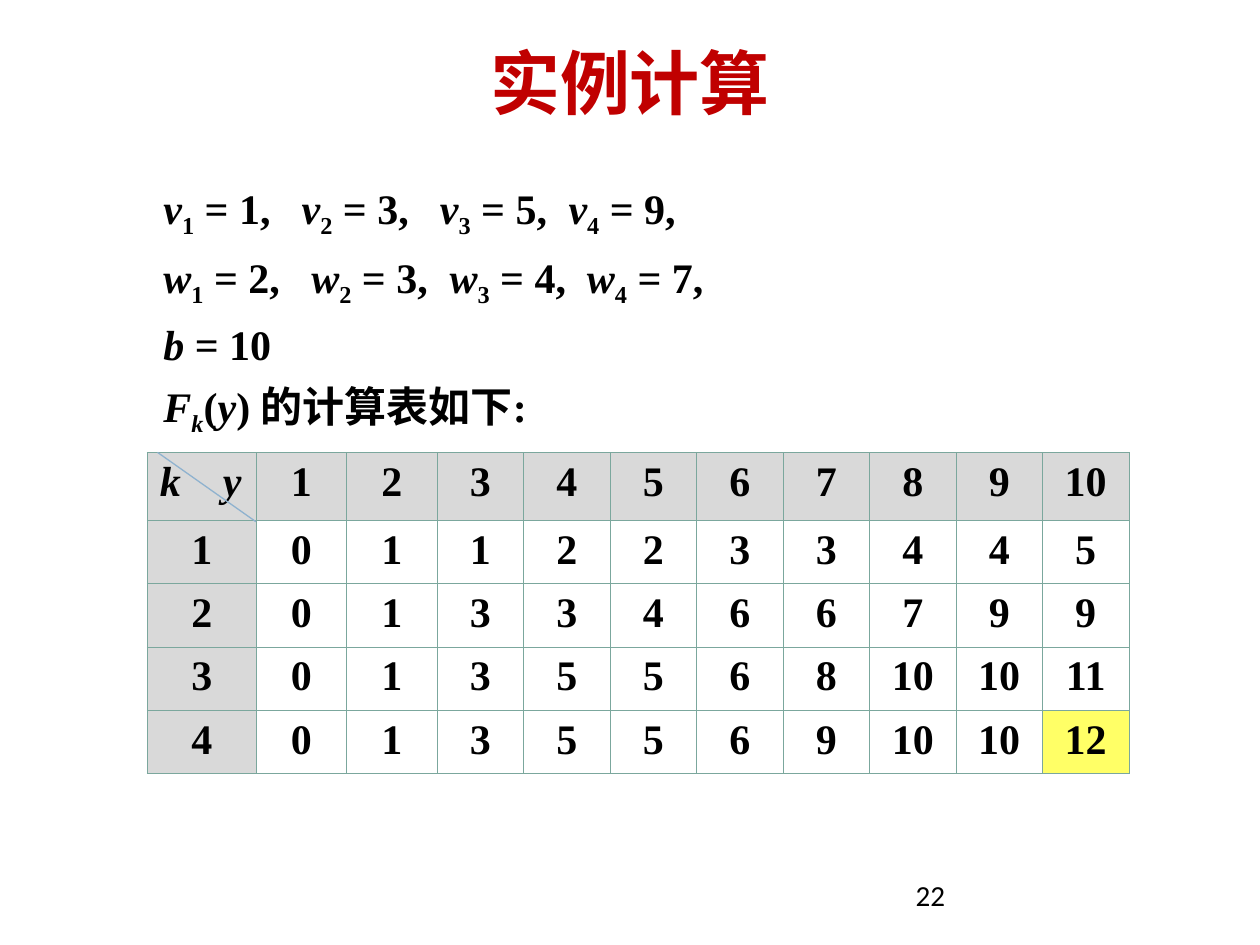
from lxml.etree import SubElement
from pptx import Presentation
from pptx.dml.color import RGBColor
from pptx.enum.shapes import MSO_CONNECTOR as Connector
from pptx.enum.text import MSO_ANCHOR as Anchor, MSO_AUTO_SIZE as AutoSize, PP_ALIGN as Align
from pptx.oxml.ns import qn
from pptx.util import Pt

BLACK = "000000"
GREY = "D9D9D9"
WHITE = "FFFFFF"
MATH = {"name": "Times New Roman", "size": Pt(24), "bold": True, "italic": False}
ITALIC = {**MATH, "italic": True}
TITLE = {"name": "Calibri", "size": Pt(40), "bold": True}
NUMBER = {"name": "Calibri", "size": Pt(16.6)}
VALUES = [
    [0, 1, 1, 2, 2, 3, 3, 4, 4, 5],
    [0, 1, 3, 3, 4, 6, 6, 7, 9, 9],
    [0, 1, 3, 5, 5, 6, 8, 10, 10, 11],
    [0, 1, 3, 5, 5, 6, 9, 10, 10, 12],
]


def colour(value):
    return RGBColor.from_string(value)


def apply_format(target, values):
    for name, value in values.items():
        setattr(target, name, value)


def add_run(paragraph, text, style, ink=BLACK, subscript=False):
    run = paragraph.add_run()
    run.text = text
    apply_format(run.font, style)
    run.font.color.rgb = colour(ink)
    if subscript:
        run._r.get_or_add_rPr().set("baseline", "-25000")


def add_tabs(paragraph, positions):
    tabs = SubElement(paragraph._p.get_or_add_pPr(), qn("a:tabLst"))
    for position in positions:
        SubElement(tabs, qn("a:tab"), pos=str(Pt(position)), algn="l")


def add_text_box(slide, left, top, width, height, **frame_format):
    shape = slide.shapes.add_textbox(Pt(left), Pt(top), Pt(width), Pt(height))
    apply_format(shape.text_frame, {"word_wrap": True, **frame_format})
    return shape.text_frame


def add_title(slide, text):
    shape = slide.shapes.title
    apply_format(shape, {"left": Pt(36), "top": Pt(21.6), "width": Pt(648), "height": Pt(49.7)})
    apply_format(shape.text_frame, {"auto_size": AutoSize.NONE, "vertical_anchor": Anchor.MIDDLE})
    paragraph = shape.text_frame.paragraphs[0]
    paragraph.alignment = Align.CENTER
    add_run(paragraph, text, TITLE, "C00000")


def add_terms(paragraph, symbol, values, tabs):
    add_tabs(paragraph, tabs)
    for index, value in enumerate(values, 1):
        add_run(paragraph, symbol if index == 1 else "\t" + symbol, ITALIC)
        add_run(paragraph, str(index), MATH, subscript=True)
        add_run(paragraph, f" = {value},", MATH)


def add_problem(slide):
    frame = add_text_box(slide, 80.6, 84.2, 329, 170, margin_left=Pt(12.8), margin_right=Pt(0))
    profits = frame.paragraphs[0]
    weights, capacity, caption = [frame.add_paragraph() for _ in range(3)]
    add_terms(profits, "v", [1, 3, 5, 9], [79, 158, 231.5])
    add_terms(weights, "w", [2, 3, 4, 7], [84.5, 163.5, 242])
    add_run(capacity, "b", ITALIC)
    add_run(capacity, " = 10", MATH)
    add_run(caption, "F", ITALIC)
    add_run(caption, "k", ITALIC, subscript=True)
    add_run(caption, "(", MATH)
    add_run(caption, "y", ITALIC)
    add_run(caption, ") 的计算表如下:", MATH)
    for paragraph, spacing in zip(frame.paragraphs, [1.5, 1.2, 1.2, 1.2]):
        paragraph.line_spacing = spacing


def format_cell(cell, fill):
    properties = cell._tc.get_or_add_tcPr()
    for side in ("a:lnL", "a:lnR", "a:lnT", "a:lnB"):
        line = SubElement(properties, qn(side), w=str(Pt(0.45)))
        SubElement(SubElement(line, qn("a:solidFill")), qn("a:srgbClr"), val="7BA79D")
    cell.fill.solid()
    cell.fill.fore_color.rgb = colour(fill)


def add_value_table(slide):
    widths = [62.3, 51.4, 52] + [49.43] * 8
    heights = [38.86] + [36.2] * 4
    rows = [["k\ty", *range(1, 11)]]
    rows += [[k, *values] for k, values in enumerate(VALUES, 1)]
    table = slide.shapes.add_table(
        len(rows), len(widths), Pt(84.2), Pt(258.5), Pt(sum(widths)), Pt(sum(heights))
    ).table
    apply_format(table, {"first_row": False, "horz_banding": False})
    for column, width in zip(table.columns, widths):
        column.width = Pt(width)
    for row, height in zip(table.rows, heights):
        row.height = Pt(height)
    for i, row in enumerate(rows):
        for j, value in enumerate(row):
            cell = table.cell(i, j)
            corner = i == j == 0
            format_cell(cell, GREY if i == 0 or j == 0 else WHITE)
            paragraph = cell.text_frame.paragraphs[0]
            if corner:
                add_tabs(paragraph, [36])
            paragraph.alignment = Align.LEFT if corner else Align.CENTER
            add_run(paragraph, str(value), ITALIC if corner else MATH)
    table.cell(4, 10).fill.fore_color.rgb = colour("FFFF66")


def add_diagonal(slide):
    connector = slide.shapes.add_connector(
        Connector.STRAIGHT, Pt(90), Pt(258.5), Pt(146.2), Pt(298.1)
    )
    connector.line.color.rgb = colour("8FB2CF")
    connector.line.width = Pt(0.75)
    SubElement(connector._element.spPr, qn("a:effectLst"))


def add_slide_number(slide, number):
    frame = add_text_box(slide, 516.2, 500.4, 167.8, 28.8)
    paragraph = frame.paragraphs[0]
    paragraph.line_spacing = 0.9
    add_run(paragraph, number, NUMBER)


def main():
    presentation = Presentation()
    apply_format(presentation, {"slide_width": Pt(720), "slide_height": Pt(540)})
    slide = presentation.slides.add_slide(presentation.slide_layouts[5])
    add_title(slide, "实例计算")
    add_slide_number(slide, "22")
    add_problem(slide)
    add_value_table(slide)
    add_diagonal(slide)
    presentation.save("out.pptx")


if __name__ == "__main__":
    main()
